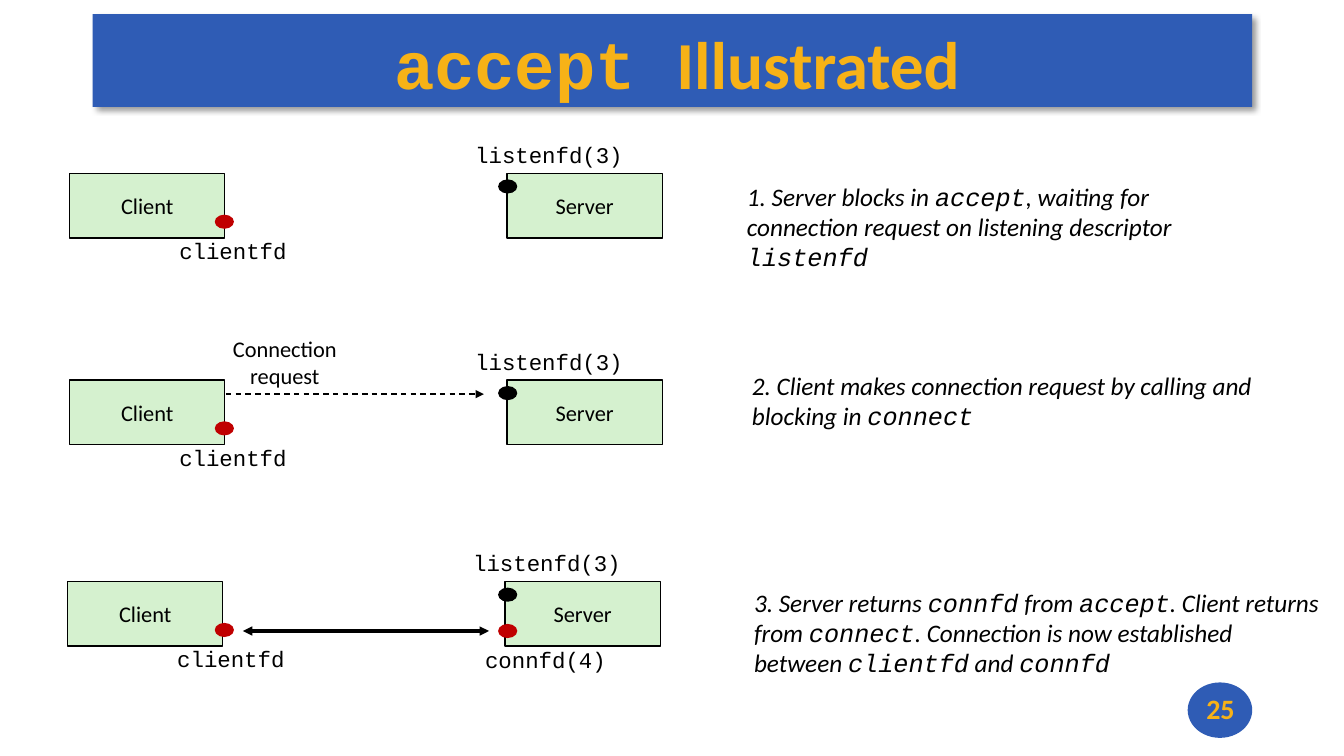
from lxml.etree import SubElement
from pptx import Presentation
from pptx.dml.color import RGBColor
from pptx.enum.dml import MSO_LINE
from pptx.enum.shapes import MSO_CONNECTOR, MSO_SHAPE
from pptx.enum.text import MSO_ANCHOR, MSO_AUTO_SIZE, PP_ALIGN
from pptx.oxml.ns import qn
from pptx.util import Inches, Pt

BLUE, GOLD, GREEN, RED, BLACK = "2F5CB5", "F7B217", "D5F1CF", "C00000", "000000"
FONTS = ("Calibri", "Courier New")

TITLE = "`accept `Illustrated"
PAGE = "25"
STEPS = [
    dict(top=1.72, left=0.69, note=(7.31, 1.74, 4.8, 1.01),
         text="1. Server blocks in `accept`, waiting for connection request "
              "on listening descriptor `listenfd`"),
    dict(top=3.77, left=0.69, note=(7.36, 3.62, 5.64, 0.71),
         text="2. Client makes connection request by calling and "
              "blocking in `connect`"),
    dict(top=5.77, left=0.67, note=(7.38, 5.77, 5.85, 1.01),
         text="3. Server returns `connfd` from `accept`. Client returns from "
              "`connect`. Connection is now established between `clientfd` "
              "and `connfd`"),
]
BOX = (1.54, 0.64)
GAP = 4.34
DOT = (0.19, 0.14)
PORTS = (2.13, 4.94)

deck = Presentation()
deck.slide_width, deck.slide_height = Inches(13.33), Inches(7.5)
slide = deck.slides.add_slide(deck.slide_layouts[6])
parts = slide.shapes


def color(code):
    return RGBColor.from_string(code)


def write(shape, lines, size, ink=BLACK, bold=None, slant=None,
          align=PP_ALIGN.CENTER, wrap=False, grow=False):
    frame = shape.text_frame
    frame.word_wrap = wrap
    frame.vertical_anchor = MSO_ANCHOR.MIDDLE
    if grow:
        frame.auto_size = MSO_AUTO_SIZE.SHAPE_TO_FIT_TEXT
    for row, line in enumerate(lines):
        para = frame.add_paragraph() if row else frame.paragraphs[0]
        para.alignment = align
        for turn, piece in enumerate(line.split("`")):
            if piece:
                run = para.add_run()
                run.text = piece
                font = run.font
                font.name, font.size = FONTS[turn % 2], Pt(size)
                font.bold, font.italic = bold, slant
                font.color.rgb = color(ink)
    return frame


def label(at, lines, size=16, **style):
    box = parts.add_textbox(*map(Inches, at))
    return write(box, lines, size, **style)


def draw(kind, at, fill, edge=None):
    shape = parts.add_shape(kind, *map(Inches, at))
    shape.shadow.inherit = False
    shape.fill.solid()
    shape.fill.fore_color.rgb = color(fill)
    if edge:
        shape.line.color.rgb = color(edge)
        shape.line.width = Pt(1)
    else:
        shape.line.fill.background()
    return shape


def dot(left, top, fill):
    draw(MSO_SHAPE.OVAL, (left, top, *DOT), fill)


def arrow(start, end, level, width, heads, dash=None):
    line = parts.add_connector(MSO_CONNECTOR.STRAIGHT,
                               *map(Inches, (start, level, end, level)))
    line.line.color.rgb = color(BLACK)
    line.line.width = Pt(width)
    if dash:
        line.line.dash_style = dash
    props = line.line._get_or_add_ln()
    for head in heads:
        SubElement(props, qn("a:" + head), type="triangle")
    SubElement(line._element.spPr, qn("a:effectLst"))


def shade(shape):
    glow = shape._element.spPr.find(qn("a:effectLst"))
    outer = SubElement(glow, qn("a:outerShdw"), blurRad=str(Pt(4)),
                       dist=str(Pt(3)), dir="2700000", algn="tl", rotWithShape="0")
    tint = SubElement(outer, qn("a:srgbClr"), val=BLACK)
    SubElement(tint, qn("a:alpha"), val="40000")


shade(draw(MSO_SHAPE.RECTANGLE, (0.92, 0.14, 11.5, 0.92), BLUE))
frame = label((0.93, 0.17, 11.49, 0.91), [TITLE], 48, ink=GOLD, bold=True, wrap=True)
frame.margin_left, frame.margin_right = Inches(0.08), 0
frame.margin_top = frame.margin_bottom = Inches(0.03)

for step in STEPS:
    top, left = step["top"], step["left"]
    for col, name in enumerate(("Client", "Server")):
        box = draw(MSO_SHAPE.RECTANGLE, (left + col * GAP, top, *BOX), GREEN, BLACK)
        write(box, [name], 16)
    label((left + 3.91, top - 0.37, 1.69, 0.37), ["`listenfd(3)`"], grow=True)
    label((left + 0.98, top + 0.58, 1.28, 0.37), ["`clientfd`"], grow=True)
    dot(PORTS[0], top + 0.41, RED)
    dot(PORTS[1], top + 0.06, BLACK)
    label(step["note"], [step["text"]], 18, slant=True, align=PP_ALIGN.LEFT,
          wrap=True, grow=True)

ask, done = STEPS[1]["top"], STEPS[2]["top"]
label((2.2, ask - 0.5, 1.25, 0.64), ["Connection", "request"], grow=True)
arrow(2.24, 4.8, ask + 0.14, 1, ["tailEnd"], MSO_LINE.DASH)
dot(PORTS[1], done + 0.42, RED)
label((4.7, done + 0.59, 1.42, 0.37), ["`connfd(4)`"], grow=True)
arrow(2.41, 4.85, done + 0.49, 2.25, ["headEnd", "tailEnd"])

draw(MSO_SHAPE.OVAL, (11.78, 6.77, 0.64, 0.55), BLUE)
label((11.78, 6.77, 0.65, 0.52), [PAGE], 20, ink=GOLD, bold=True, wrap=True)

deck.save("out.pptx")
